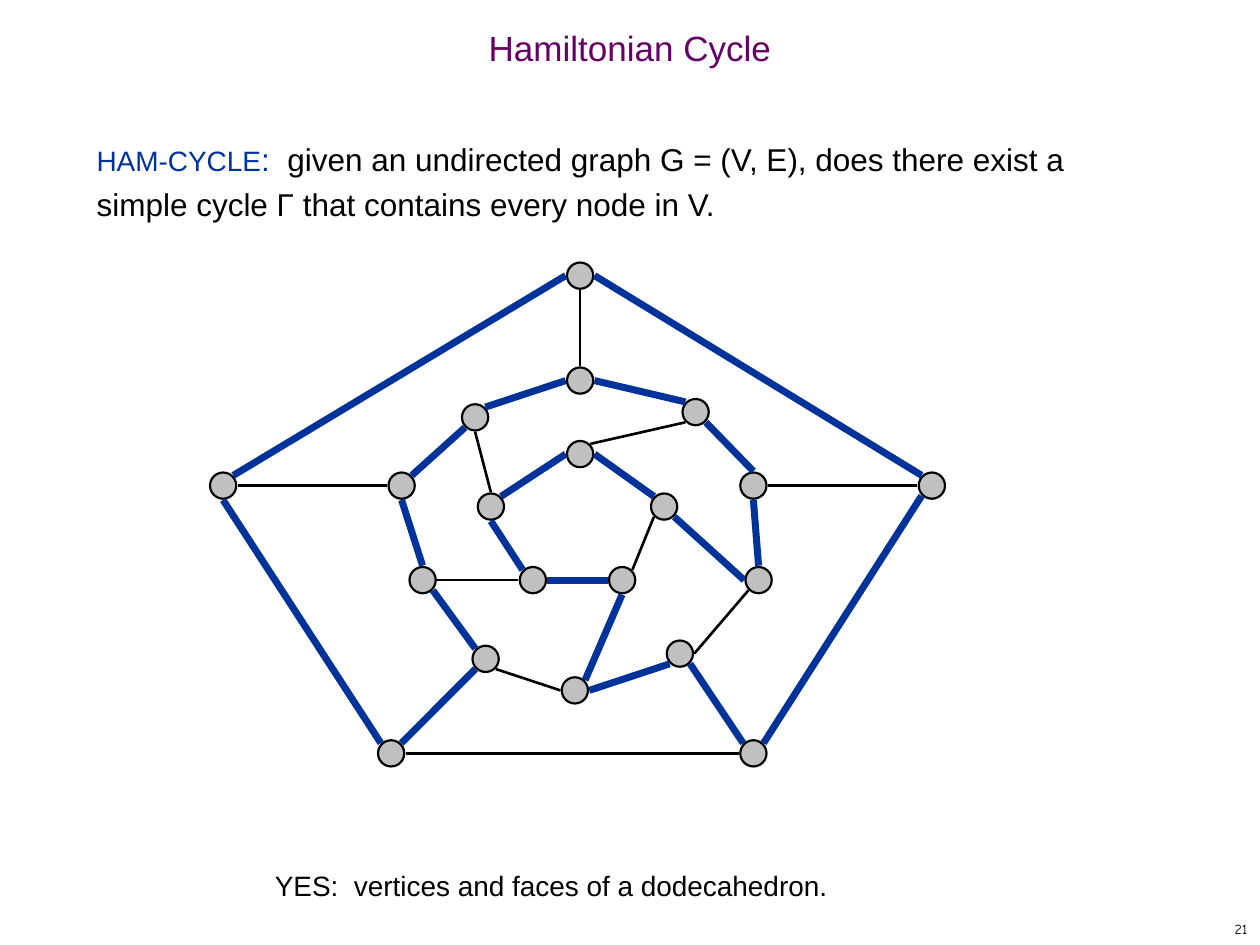
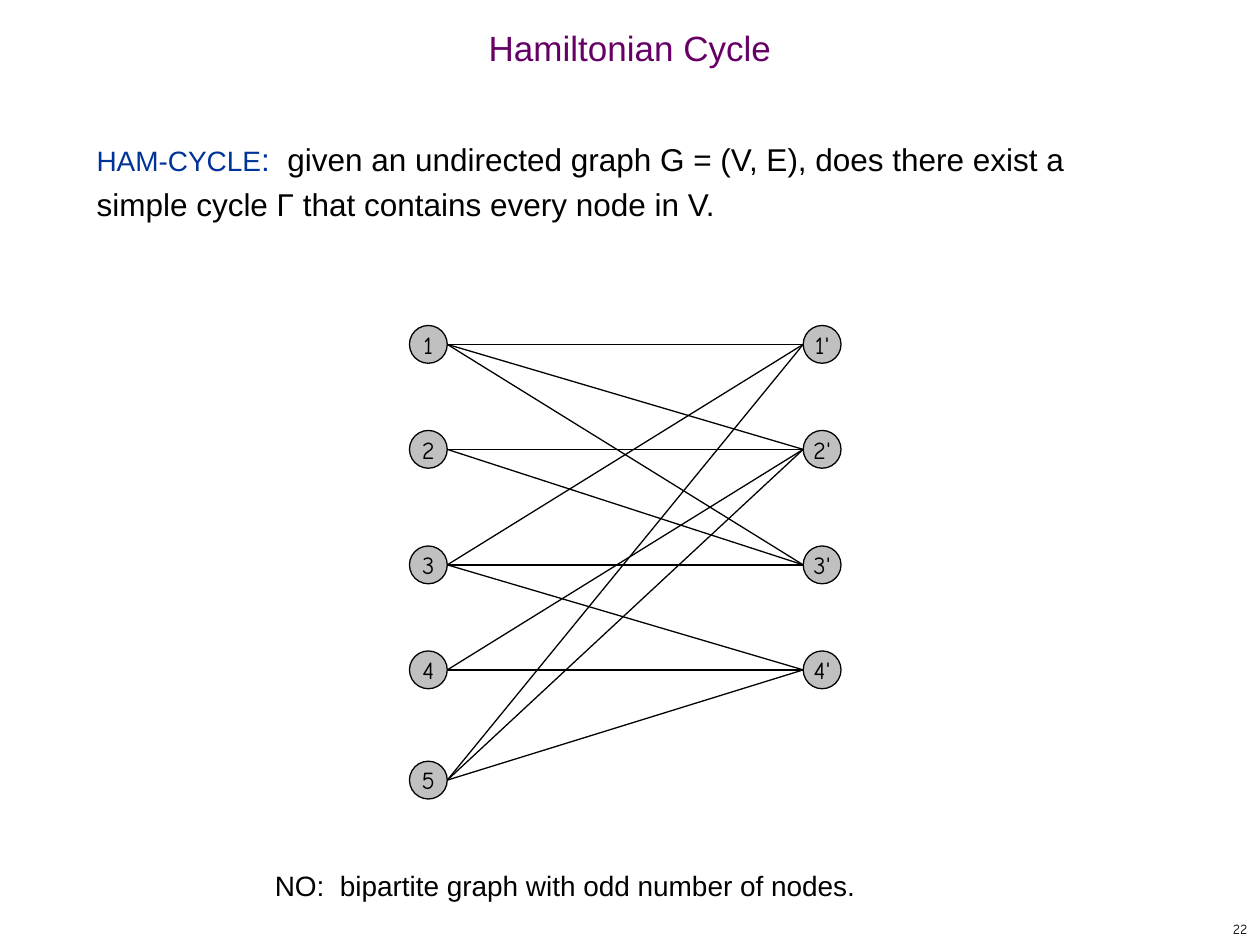
from math import cos, radians, sin

from lxml import etree
from pptx import Presentation
from pptx.dml.color import RGBColor
from pptx.enum.shapes import MSO_CONNECTOR, MSO_SHAPE
from pptx.enum.text import MSO_ANCHOR, MSO_AUTO_SIZE, PP_ALIGN
from pptx.oxml.ns import qn
from pptx.util import Pt

STRAIGHT, ELLIPSE = MSO_CONNECTOR.STRAIGHT, MSO_SHAPE.OVAL
MIDDLE, TOP = MSO_ANCHOR.MIDDLE, MSO_ANCHOR.TOP
LEFT, CENTER, RIGHT = PP_ALIGN.LEFT, PP_ALIGN.CENTER, PP_ALIGN.RIGHT
NO_FIT = MSO_AUTO_SIZE.NONE

COLORS = {"ink": "000000", "title": "660066", "accent": "003399", "node": "C0C0C0"}
SANS, COMIC = "Arial", "Comic Neue"

TITLE = "Hamiltonian Cycle"
DEFINITION = [
    ("HAM-CYCLE", 16, "accent"),
    (":  ", 18, "accent"),
    ("given an undirected graph G = (V, E), does there exist a simple cycle "
     "Γ that contains every node in V.", 18, "ink"),
]

NODE_SIZE, SITE_RADIUS = 15, 8.25
RINGS = {
    "inner": [(324, 252), (372, 282), (348, 324), (297, 324), (273, 282)],
    "outer": [(324, 150), (525, 270), (423, 423), (216, 423), (120, 270)],
    "middle": [(324, 210), (390, 228), (423, 270), (426, 324), (381, 366),
               (321, 387), (270, 369), (234, 324), (222, 270), (264, 231)],
}
NODES = {f"{ring}{index}": corner
         for ring, corners in RINGS.items() for index, corner in enumerate(corners)}

CYCLE_EDGES = [
    ("inner0", 6, "inner1", 1), ("inner3", 6, "inner2", 2),
    ("inner3", 1, "inner4", 4), ("inner4", 7, "inner0", 2),
    ("outer2", 7, "outer1", 3), ("outer0", 6, "outer1", 1),
    ("outer3", 1, "outer4", 4), ("outer4", 7, "outer0", 2),
    ("middle2", 0, "middle1", 5), ("middle0", 6, "middle1", 1),
    ("middle3", 0, "middle2", 4), ("middle0", 2, "middle9", 7),
    ("middle9", 3, "middle8", 7), ("middle8", 4, "middle7", 0),
    ("middle7", 5, "middle6", 1), ("middle5", 6, "middle4", 3),
    ("outer2", 1, "middle4", 5), ("middle6", 3, "outer3", 7),
    ("inner2", 4, "middle5", 7), ("middle3", 2, "inner1", 5),
]
OTHER_EDGES = [
    ("inner2", 7, "inner1", 3), ("outer3", 6, "outer2", 2),
    ("middle3", 3, "middle4", 6), ("middle6", 5, "middle5", 2),
    ("middle8", 2, "outer4", 6), ("middle0", 0, "outer0", 4),
    ("middle2", 6, "outer1", 2), ("inner3", 2, "middle7", 6),
    ("inner4", 0, "middle9", 4), ("middle1", 3, "inner0", 7),
]

DISC = 21.6
LEFT_X, RIGHT_X = 234, 459
ROW_TOPS = [186, 246, 312, 372, 435]
NEIGHBORS = {1: [1, 2, 3], 2: [2, 3], 3: [1, 3, 4], 4: [2, 4], 5: [1, 2, 4]}


def color(name):
    """Return the named colour."""
    return RGBColor.from_string(COLORS[name])


def apply(target, formats):
    """Set every attribute in formats on target."""
    for name, value in formats.items():
        setattr(target, name, value)


def site(node, index):
    """Return one of eight points around a node, anticlockwise from the top."""
    left, top = NODES[node]
    angle = radians(45 * index)
    return (left + NODE_SIZE / 2 - SITE_RADIUS * sin(angle),
            top + NODE_SIZE / 2 - SITE_RADIUS * cos(angle))


class Deck:
    """Hold the presentation style and the current slide."""

    def __init__(self):
        """Start an empty deck."""
        self.deck = Presentation()
        apply(self.deck, {"slide_width": Pt(720), "slide_height": Pt(540)})
        self.slide = None

    def fill_text(self, box, spans, font=SANS, align=LEFT, anchor=TOP, wrap=True, **spacing):
        """Fill a box with one paragraph of (text, size, colour) spans."""
        frame = box.text_frame
        apply(frame, {"word_wrap": wrap, "auto_size": NO_FIT, "vertical_anchor": anchor})
        para = frame.paragraphs[0]
        apply(para, {"alignment": align, **spacing})
        for text, size, ink in spans:
            span = para.add_run()
            span.text = text
            apply(span.font, {"name": font, "size": Pt(size), "bold": False})
            span.font.color.rgb = color(ink)
        return para

    def place(self, box, left, top, width, height):
        """Move and size a box."""
        apply(box, {"left": Pt(left), "top": Pt(top),
                    "width": Pt(width), "height": Pt(height)})

    def text(self, bounds, spans, **formats):
        """Add a text box."""
        box = self.slide.shapes.add_textbox(*map(Pt, bounds))
        self.fill_text(box, spans, **formats)

    def page(self, number, caption):
        """Add a slide with title, definition, caption and page number."""
        self.slide = self.deck.slides.add_slide(self.deck.slide_layouts[1])
        title, body = self.slide.placeholders
        self.place(title, 0, 12, 720, 36)
        self.fill_text(title, [(TITLE, 20, "title")], align=CENTER, anchor=MIDDLE,
                       line_spacing=0.7)
        self.place(body, 48, 72, 618, 426)
        para = self.fill_text(body, DEFINITION, line_spacing=Pt(26), space_before=Pt(0))
        props = para._p.get_or_add_pPr()
        props.set("marL", "0")
        props.set("indent", "0")
        etree.SubElement(props, qn("a:buNone"))
        self.text((150, 492.5, 426, 26.5), [(caption, 16, "ink")])
        self.text((570, 522, 150, 18), [(str(number), 8, "ink")],
                  font=COMIC, align=RIGHT, anchor=MIDDLE)

    def node(self, left, top, size, weight, label=None):
        """Add a round graph node."""
        disc = self.slide.shapes.add_shape(ELLIPSE, *map(Pt, (left, top, size, size)))
        disc.shadow.inherit = False
        disc.fill.solid()
        disc.fill.fore_color.rgb = color("node")
        disc.line.color.rgb = color("ink")
        disc.line.width = Pt(weight)
        if label:
            self.fill_text(disc, [(label, 14, "ink")], font=COMIC, align=CENTER,
                           anchor=MIDDLE, wrap=False)

    def edge(self, start, end, weight, ink="ink"):
        """Add a straight graph edge."""
        line = self.slide.shapes.add_connector(STRAIGHT, *map(Pt, (*start, *end)))
        line.line.color.rgb = color(ink)
        line.line.width = Pt(weight)
        etree.SubElement(line._element.spPr, qn("a:effectLst"))


def dodecahedron(deck):
    """Draw the dodecahedron graph and its Hamiltonian cycle."""
    deck.page(21, "YES:  vertices and faces of a dodecahedron.")
    for corner in NODES.values():
        deck.node(*corner, NODE_SIZE, 1.25)
    for edges, weight, ink in ((OTHER_EDGES, 1.5, "ink"), (CYCLE_EDGES, 4, "accent")):
        for first, first_site, second, second_site in edges:
            deck.edge(site(first, first_site), site(second, second_site), weight, ink)


def bipartite(deck):
    """Draw the bipartite graph."""
    deck.page(22, "NO:  bipartite graph with odd number of nodes.")
    for row, top in enumerate(ROW_TOPS, 1):
        deck.node(LEFT_X, top, DISC, 0.75, str(row))
    for row, top in enumerate(ROW_TOPS[:-1], 1):
        deck.node(RIGHT_X, top, DISC, 0.75, f"{row}'")
    middles = [top + DISC / 2 for top in ROW_TOPS]
    for row, others in NEIGHBORS.items():
        for other in others:
            deck.edge((LEFT_X + DISC, middles[row - 1]), (RIGHT_X, middles[other - 1]), 0.75)


def main():
    """Build and save the deck."""
    deck = Deck()
    dodecahedron(deck)
    bipartite(deck)
    deck.deck.save("out.pptx")


if __name__ == "__main__":
    main()
